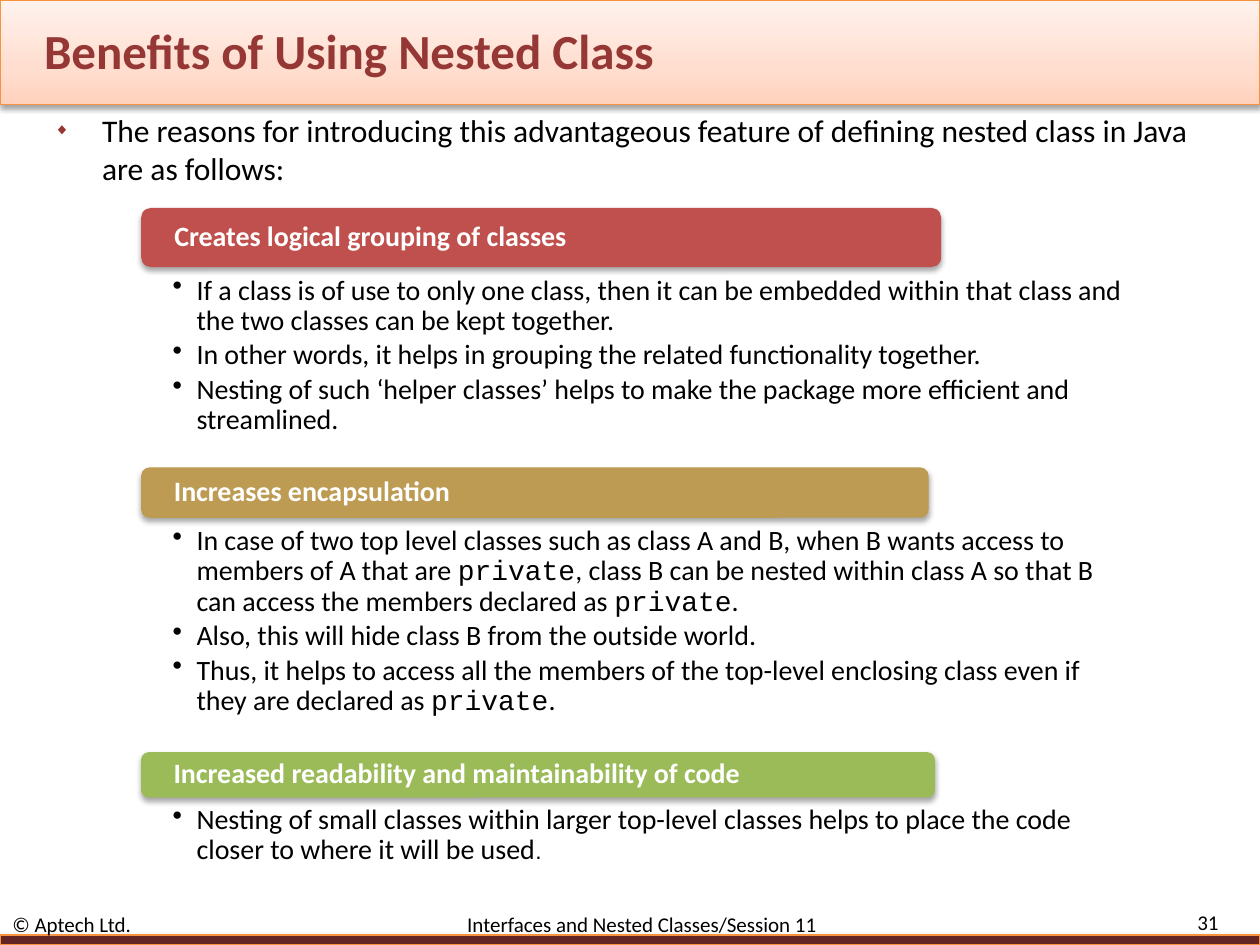
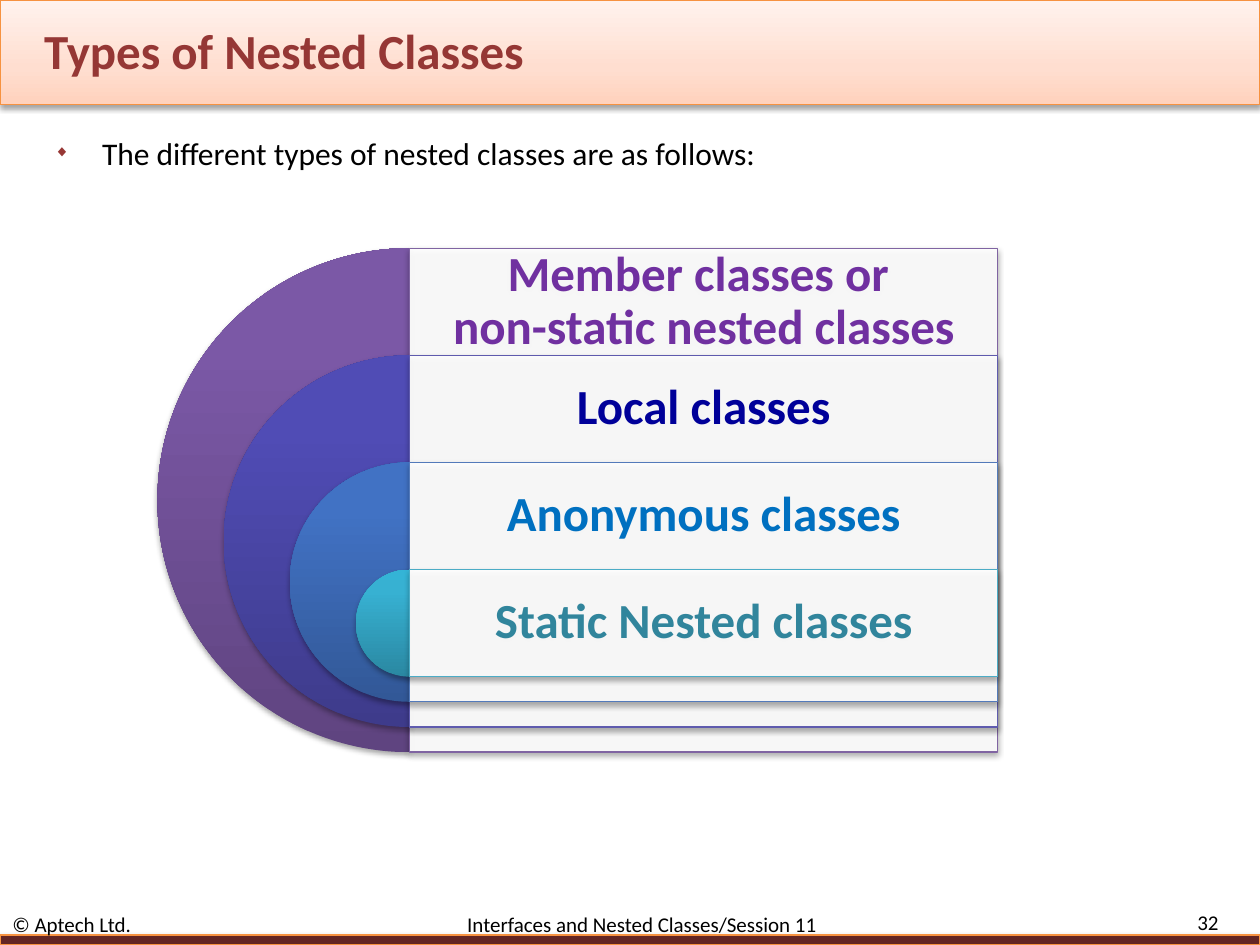
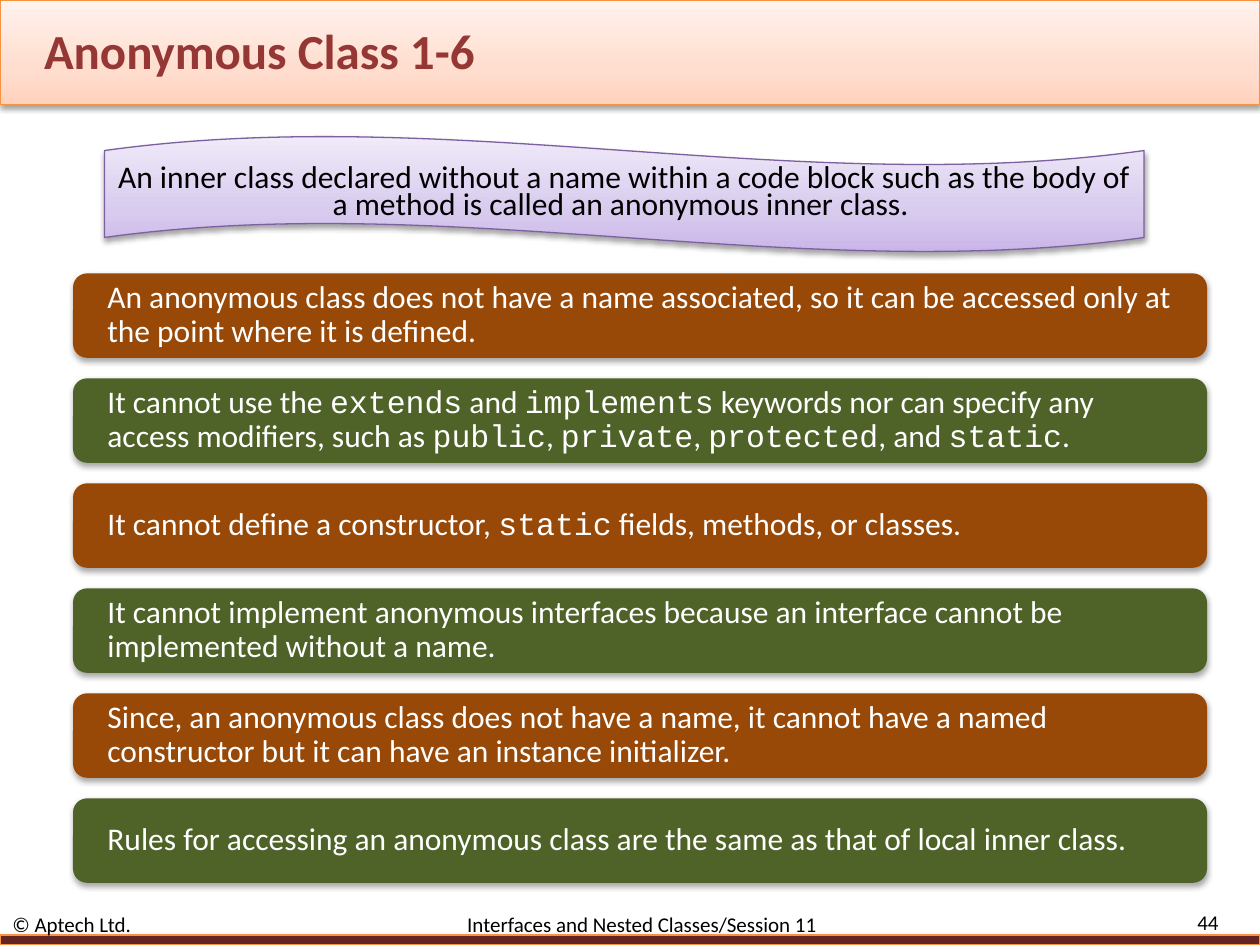
import copy
import pptx
import pptx.util
import pptx.dml.color
import pptx.enum.shapes
import pptx.enum.text
import pptx.oxml
import pptx.oxml.ns

Inches = pptx.util.Inches
Pt = pptx.util.Pt
Shape = pptx.enum.shapes.MSO_SHAPE
Align = pptx.enum.text.PP_ALIGN
Anchor = pptx.enum.text.MSO_ANCHOR
rgb = pptx.dml.color.RGBColor.from_string
qn = pptx.oxml.ns.qn
xml = pptx.oxml.parse_xml
NS = pptx.oxml.ns.nsdecls("a")

CODE = {"private", "extends", "implements", "public", "protected", "static"}


def paint(shape, fill, line=None):
    if isinstance(fill, list):
        shape.fill.gradient()
        shape.fill.gradient_angle = 90
        stops = shape.element.find(".//" + qn("a:gsLst"))
        stops.insert(1, copy.deepcopy(stops[0]))
        for stop, (place, hue) in zip(shape.fill.gradient_stops, fill):
            stop.position = place / 100
            stop.color.rgb = rgb(hue)
    else:
        shape.fill.solid()
        shape.fill.fore_color.rgb = rgb(fill)
    if line:
        shape.line.color.rgb = rgb(line)
        shape.line.width = Pt(0.75)
    else:
        shape.line.fill.background()
    shape.shadow.inherit = False
    shape.element.find(".//" + qn("a:effectLst")).append(xml(
        f'<a:outerShdw {NS} blurRad="40000" dist="23000" dir="5400000" rotWithShape="0">'
        '<a:srgbClr val="000000"><a:alpha val="35000"/></a:srgbClr></a:outerShdw>'))


def write(par, text, size, hue, bold=False):
    first, *rest = text.split("`")
    par.text = first
    for part in rest:
        par.add_run().text = part
    for run in par.runs:
        run.font.name = "Courier New" if run.text in CODE else "Calibri"
        run.font.size = Pt(size)
        run.font.bold = bold
        run.font.color.rgb = rgb(hue)


prs = pptx.Presentation()
prs.slide_width = Inches(10)
prs.slide_height = Inches(7.5)

pages = [
    ("Benefits of Using Nested Class", "31", 0.83, 0.71,
     "The reasons for introducing this advantageous feature of defining nested class in Java are as follows:"),
    ("Types of Nested Classes", "32", 1.01, 0.4,
     "The different types of nested classes are as follows:"),
    ("Anonymous Class 1-6", "44", 0, 0, None),
]
slides = []
for name, num, top, high, intro in pages:
    slide = prs.slides.add_slide(prs.slide_layouts[1 if intro else 5])
    slides.append(slide)
    title = slide.shapes.title
    title.left, title.top, title.width, title.height = map(Inches, (0.25, 0.17, 8.33, 0.45))
    title.text_frame.vertical_anchor = Anchor.MIDDLE
    par = title.text_frame.paragraphs[0]
    par.alignment = Align.LEFT
    write(par, name, 28, "953735", True)

    box = slide.shapes.add_textbox(Inches(8.92), Inches(7.23), Inches(0.85), Inches(0.18))
    box.text_frame.vertical_anchor = Anchor.MIDDLE
    par = box.text_frame.paragraphs[0]
    par.alignment = Align.RIGHT
    write(par, num, 12, "000000")

    if intro:
        body = slide.placeholders[1]
        body.left, body.top, body.width, body.height = map(Inches, (0.33, top, 9.42, high))
        body.text_frame.auto_size = pptx.enum.text.MSO_AUTO_SIZE.NONE
        par = body.text_frame.paragraphs[0]
        props = par._p.get_or_add_pPr()
        props.set("marL", str(Inches(0.38)))
        props.set("indent", str(Inches(-0.38)))
        for tag in ('buClr><a:srgbClr val="973735"/></a:buClr', 'buSzPct val="50000"/',
                    'buFont typeface="Arial"/', 'buChar char="◆"/'):
            props.append(xml("<a:" + tag.replace("buClr>", f"buClr {NS}>", 1) + ">"
                             if tag.startswith("buClr") else f"<a:{tag[:-1]} {NS}/>"))
        par.space_before = Pt(0)
        write(par, intro, 18, "000000")

shapes = slides[0].shapes
head = shapes.add_shape(Shape.RECTANGLE, 0, 0, Inches(10), Inches(0.83))
paint(head, [(0, "FFD2BD"), (35, "FFDED0"), (100, "FFF2ED")], "F69240")
base = shapes.add_shape(Shape.RECTANGLE, 0, Inches(7.42), Inches(10), Inches(0.08))
paint(base, "632523", "F69240")
foot = shapes.add_textbox(0, Inches(7.25), Inches(8.83), Inches(0.17))
foot.text_frame.vertical_anchor = Anchor.MIDDLE
par = foot.text_frame.paragraphs[0]
par._p.get_or_add_pPr().append(xml(
    f'<a:tabLst {NS}><a:tab pos="{Inches(3.61)}" algn="l"/></a:tabLst>'))
write(par, "© Aptech Ltd.\tInterfaces and Nested Classes/Session 11", 12, "000000")
for key, item in enumerate((head, base, foot), 20):
    item.element.nvSpPr.cNvPr.set("id", str(key))
    prs.slide_master.shapes.element.append(item.element)

gains = [
    (1.65, 6.35, 0.47, "C0504D", "Creates logical grouping of classes", 1.94, 1.71, [
        "If a class is of use to only one class, then it can be embedded within that class and the two classes can be kept together.",
        "In other words, it helps in grouping the related functionality together.",
        "Nesting of such ‘helper classes’ helps to make the package more efficient and streamlined."]),
    (3.71, 6.25, 0.4, "BD9B53", "Increases encapsulation", 3.93, 1.97, [
        "In case of two top level classes such as class A and B, when B wants access to members of A that are `private`, class B can be nested within class A so that B can access the members declared as `private`.",
        "Also, this will hide class B from the outside world.",
        "Thus, it helps to access all the members of the top-level enclosing class even if they are declared as `private`."]),
    (5.97, 6.3, 0.36, "9BBB59", "Increased readability and maintainability of code", 6.14, 0.87, [
        "Nesting of small classes within larger top-level classes helps to place the code closer to where it will be used`."]),
]
for top, wide, high, hue, label, low, deep, points in gains:
    box = shapes.add_textbox(Inches(0.67), Inches(low), Inches(9), Inches(deep))
    frame = box.text_frame
    frame.word_wrap = True
    frame.margin_left = frame.margin_right = Inches(0.7)
    frame.margin_top, frame.margin_bottom = Inches(0.25), Inches(0.12)
    for k, point in enumerate(points):
        par = frame.add_paragraph() if k else frame.paragraphs[0]
        props = par._p.get_or_add_pPr()
        props.set("marL", str(Inches(0.19)))
        props.set("indent", str(Inches(-0.19)))
        props.append(xml(f'<a:buChar {NS} char="•"/>'))
        par.line_spacing = 0.9
        par.space_after = Pt(2.4)
        write(par, point, 16, "000000")

    tag = shapes.add_shape(Shape.ROUNDED_RECTANGLE, Inches(1.12), Inches(top), Inches(wide), Inches(high))
    paint(tag, hue)
    frame = tag.text_frame
    frame.margin_left = frame.margin_right = Inches(0.24)
    frame.margin_top = frame.margin_bottom = 0
    frame.vertical_anchor = Anchor.MIDDLE
    par = frame.paragraphs[0]
    par.alignment = Align.LEFT
    par.line_spacing = 0.9
    write(par, label, 16, "FFFFFF", True)
dot = box.text_frame.paragraphs[0].runs[-1].font
dot.name = "Arial"
dot.size = Pt(13)

shapes = slides[1].shapes
kinds = [
    ("Member classes or \vnon-static nested classes", "7030A0", "8064A2", ("5F4480", "7B58A6", "7C57A8")),
    ("Local classes", "000099", "5F5BAE", ("3E3B8B", "504CB5", "4F4BB8")),
    ("Anonymous classes", "0070C0", "537ABA", ("325897", "4172C4", "3F72C7")),
    ("Static Nested classes", "31859C", "4BACC6", ("2A88A2", "37B1D2", "34B4D6")),
]
row = 0.85
for k, (label, hue, edge, tones) in enumerate(kinds):
    size = 4 - 1.05 * k
    top = Inches(1.97 + row * k)
    pie = shapes.add_shape(Shape.PIE, Inches(3.25 - size / 2), top, Inches(size), Inches(size))
    pie.adjustments[0] = 54
    pie.adjustments[1] = 162
    paint(pie, list(zip((0, 80, 100), tones)))

    card = shapes.add_shape(Shape.RECTANGLE, Inches(3.25), top, Inches(4.67), Inches(size))
    paint(card, "FFFFFF", edge)
    card.element.spPr.find(qn("a:solidFill"))[0].append(xml(f'<a:alpha {NS} val="90000"/>'))
    frame = card.text_frame
    frame.margin_left = frame.margin_right = Inches(0.12)
    frame.margin_top = 0
    frame.margin_bottom = Inches(size - row)
    frame.vertical_anchor = Anchor.MIDDLE
    par = frame.paragraphs[0]
    par.alignment = Align.CENTER
    par.line_spacing = 0.9
    write(par, label, 28, hue, True)

shapes = slides[2].shapes
wave = shapes.add_shape(Shape.WAVE, Inches(0.83), Inches(1.08), Inches(8.25), Inches(0.92))
wave.adjustments[0] = 0.125
wave.adjustments[1] = 0
paint(wave, [(0, "C9B5E8"), (35, "D8CBEE"), (100, "F0EAF9")], "7D60A0")
wave.text_frame.vertical_anchor = Anchor.MIDDLE
par = wave.text_frame.paragraphs[0]
par.alignment = Align.CENTER
par.line_spacing = 0.7
write(par, "An inner class declared without a name within a code block such as the body of a method is called an anonymous inner class. ", 18, "000000")

rules = [
    "An anonymous class does not have a name associated, so it can be accessed only at the point where it is defined.",
    "It cannot use the `extends` and `implements` keywords nor can specify any access modifiers, such as `public`, `private`, `protected`, and `static`.",
    "It cannot define a constructor, `static` fields, methods, or classes.",
    "It cannot implement anonymous interfaces because an interface cannot be implemented without a name.",
    "Since, an anonymous class does not have a name, it cannot have a named constructor but it can have an instance initializer.",
    "Rules for accessing an anonymous class are the same as that of local inner class.",
]
for k, rule in enumerate(rules):
    bar = shapes.add_shape(Shape.ROUNDED_RECTANGLE, Inches(0.58), Inches(2.17 + k * 5 / 6), Inches(9), Inches(0.67))
    paint(bar, ("984807", "4F6228")[k % 2])
    frame = bar.text_frame
    frame.margin_left = frame.margin_right = Inches(0.24)
    frame.margin_top = frame.margin_bottom = 0
    frame.vertical_anchor = Anchor.MIDDLE
    par = frame.paragraphs[0]
    par.alignment = Align.LEFT
    par.line_spacing = 0.9
    write(par, rule, 18, "FFFFFF")

prs.save("out.pptx")
